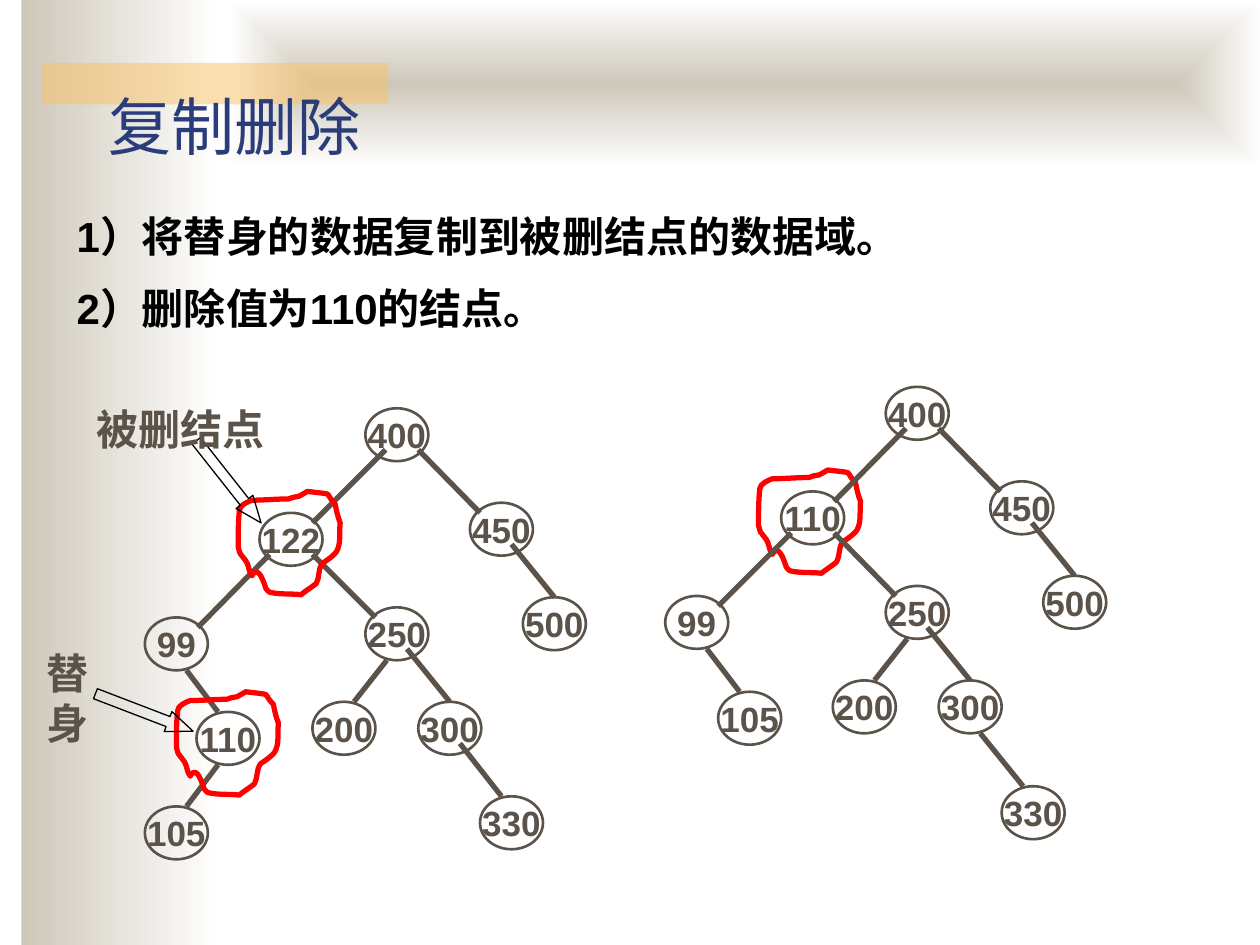
from lxml.etree import SubElement
from pptx import Presentation
from pptx.dml.color import RGBColor
from pptx.enum.shapes import MSO_CONNECTOR, MSO_SHAPE
from pptx.enum.text import MSO_ANCHOR, PP_ALIGN
from pptx.oxml.ns import qn
from pptx.util import Inches, Pt

BEIGE = RGBColor(0xCE, 0xC8, 0xBA)
WHITE = RGBColor(0xFF, 0xFF, 0xFF)
ORANGE = RGBColor(0xFA, 0xC1, 0x64)
BLUE = RGBColor(0x2A, 0x3D, 0x7A)
BROWN = RGBColor(0x5B, 0x52, 0x49)
RED = RGBColor(0xFF, 0x00, 0x00)
BLACK = RGBColor(0x00, 0x00, 0x00)
CHINESE_FONT = "Noto Sans CJK SC"
NODE_WIDTH, NODE_HEIGHT = 0.5, 0.42

SHARED_NODES = {
    "400": (1.75, 0), "450": (2.58, 0.75), "500": (3, 1.5),
    "250": (1.75, 1.58), "200": (1.33, 2.33), "300": (2.17, 2.33),
    "99": (0, 1.66),
}
BEFORE_NODES = SHARED_NODES | {
    "122": (0.91, 0.83), "110": (0.41, 2.41), "105": (0, 3.16), "330": (2.66, 3.08),
}
AFTER_NODES = SHARED_NODES | {
    "110": (0.92, 0.83), "105": (0.42, 2.42), "330": (2.67, 3.17),
}

LOWER_LEFT, LOWER_RIGHT = (0.16, 0.33), (0.42, 0.33)
INNER_RIGHT = (0.33, 0.33)
BOTTOM_LEFT, BOTTOM_RIGHT = (0.17, 0.42), (0.33, 0.42)
UPPER_LEFT, UPPER_RIGHT = (0.08, 0.08), (0.42, 0.08)
TOP_LEFT, TOP, TOP_RIGHT = (0.17, 0), (0.25, 0), (0.33, 0)


def tree_edges(replaced):
    """Return the edges both trees share, given the value of the replaced node."""
    return [
        ("400", replaced, LOWER_LEFT, UPPER_RIGHT),
        ("400", "450", LOWER_RIGHT, UPPER_LEFT),
        ("450", "500", INNER_RIGHT, TOP),
        (replaced, "99", (0.08, 0.33), UPPER_RIGHT),
        (replaced, "250", LOWER_RIGHT, UPPER_LEFT),
        ("250", "200", BOTTOM_LEFT, TOP_RIGHT),
        ("250", "300", INNER_RIGHT, TOP),
    ]


BEFORE_EDGES = tree_edges("122") + [
    ("300", "330", INNER_RIGHT, TOP_LEFT),
    ("99", "110", BOTTOM_RIGHT, TOP_LEFT),
    ("110", "105", BOTTOM_LEFT, TOP_RIGHT),
]
AFTER_EDGES = tree_edges("110") + [
    ("300", "330", BOTTOM_RIGHT, TOP_LEFT),
    ("99", "105", BOTTOM_RIGHT, TOP_LEFT),
]

RING_CURVES = [
    ((0.10, 0.65), (0.09, 0.64), (0.09, 0.63)),
    ((0.08, 0.60), (0.08, 0.58), (0.06, 0.55)),
    ((0.00, 0.47), (0.02, 0.51), (0.00, 0.44)),
    ((0.00, 0.34), (0.00, 0.24), (0.01, 0.15)),
    ((0.01, 0.11), (0.08, 0.08), (0.11, 0.07)),
    ((0.21, 0.07), (0.30, 0.06), (0.40, 0.06)),
    ((0.43, 0.05), (0.45, 0.04), (0.48, 0.04)),
    ((0.50, 0.03), (0.55, 0.00), (0.55, 0.00)),
    ((0.79, 0.03), (0.67, 0.00), (0.77, 0.10)),
    ((0.78, 0.15), (0.79, 0.20), (0.81, 0.25)),
    ((0.80, 0.33), (0.82, 0.41), (0.78, 0.48)),
    ((0.75, 0.52), (0.67, 0.57), (0.67, 0.57)),
    ((0.63, 0.62), (0.65, 0.68), (0.62, 0.73)),
    ((0.60, 0.75), (0.52, 0.80), (0.50, 0.82)),
    ((0.42, 0.81), (0.33, 0.82), (0.25, 0.80)),
    ((0.24, 0.80), (0.23, 0.78), (0.22, 0.77)),
    ((0.21, 0.74), (0.16, 0.57), (0.11, 0.67)),
]


def style_paragraph(para, size, color, name="Arial", bold=True):
    """Set the Latin and Chinese fonts of a paragraph."""
    font = para.font
    font.size, font.bold, font.name = Pt(size), bold, name
    font.color.rgb = color
    SubElement(font._element, qn("a:ea"), typeface=CHINESE_FONT)


def add_outline(page, kind, left, top, width, height, color, weight):
    """Add an unfilled preset shape."""
    shape = page.shapes.add_shape(kind, Inches(left), Inches(top), Inches(width), Inches(height))
    shape.shadow.inherit = False
    shape.fill.background()
    shape.line.color.rgb = color
    shape.line.width = Pt(weight)
    return shape


def add_panel(page, left, top, width, height):
    """Add a borderless rectangle."""
    panel = add_outline(page, MSO_SHAPE.RECTANGLE, left, top, width, height, BEIGE, 1)
    panel.line.fill.background()
    return panel


def add_backdrop(page):
    """Add the two gradient panels and the translucent bar."""
    side = add_panel(page, 0.17, 0, 1.58, 7.5)
    banner = add_panel(page, 1.83, 0, 8.17, 1.33)
    for panel in (side, banner):
        panel.fill.gradient()
        panel.fill.gradient_angle = 0
        for stop, color in zip(panel.fill.gradient_stops, (BEIGE, WHITE)):
            stop.color.rgb = color
    gradient = banner._element.spPr.find(qn("a:gradFill"))
    gradient.remove(gradient.find(qn("a:lin")))
    shade = SubElement(gradient, qn("a:path"), path="shape")
    SubElement(shade, qn("a:fillToRect"), l="50000", t="50000", r="50000", b="50000")

    bar = add_panel(page, 0.33, 0.5, 2.75, 0.33)
    bar.fill.solid()
    bar.fill.fore_color.rgb = ORANGE
    color = bar._element.spPr.find(qn("a:solidFill"))[0]
    SubElement(color, qn("a:alpha"), val="50000")


def add_title(page, left, top, width, height):
    """Place the title in front of the backdrop."""
    title = page.shapes.title
    page.shapes._spTree.append(title._element)
    title.left, title.top = Inches(left), Inches(top)
    title.width, title.height = Inches(width), Inches(height)
    title.text_frame.text = "复制删除"
    title.text_frame.vertical_anchor = MSO_ANCHOR.MIDDLE
    para = title.text_frame.paragraphs[0]
    para.alignment = PP_ALIGN.LEFT
    style_paragraph(para, 36, BLUE, CHINESE_FONT, False)


def add_text(page, left, top, width, height, lines, color=BROWN):
    """Add a wrapped text box with one paragraph per line."""
    box = page.shapes.add_textbox(Inches(left), Inches(top), Inches(width), Inches(height))
    box.text_frame.word_wrap = True
    box.text_frame.text = "\n".join(lines)
    for para in box.text_frame.paragraphs:
        style_paragraph(para, 24, color)
    for para in box.text_frame.paragraphs[1:]:
        para.space_before = Pt(12.5)


def add_tree(page, left, top, nodes, edges):
    """Draw a binary tree with its corner at the given point."""
    for value, (x, y) in nodes.items():
        node = add_outline(page, MSO_SHAPE.OVAL, left + x, top + y,
                           NODE_WIDTH, NODE_HEIGHT, BROWN, 1.5)
        node.text_frame.word_wrap = False
        node.text_frame.vertical_anchor = MSO_ANCHOR.MIDDLE
        node.text_frame.text = value
        para = node.text_frame.paragraphs[0]
        para.alignment = PP_ALIGN.CENTER
        style_paragraph(para, 20, BROWN)
    for parent, child, start, end in edges:
        points = [Inches(corner + place + offset)
                  for value, joint in ((parent, start), (child, end))
                  for corner, place, offset in zip((left, top), nodes[value], joint)]
        edge = page.shapes.add_connector(MSO_CONNECTOR.STRAIGHT, *points)
        edge.line.color.rgb = BROWN
        edge.line.width = Pt(3)
        SubElement(edge._element.spPr, qn("a:effectLst"))


def add_ring(page, left, top):
    """Draw the curved red ring around a node."""
    points = [(Inches(left + x), Inches(top + y)) for *_, (x, y) in RING_CURVES]
    builder = page.shapes.build_freeform(*points[-1])
    builder.add_line_segments(points, close=True)
    ring = builder.convert_to_shape()
    segments = list(ring._element.iter(qn("a:lnTo")))
    for segment, curve in zip(segments, RING_CURVES):
        segment.clear()
        segment.tag = qn("a:cubicBezTo")
        for x, y in curve:
            SubElement(segment, qn("a:pt"), x=str(Inches(x)), y=str(Inches(y)))
    ring.shadow.inherit = False
    ring.fill.background()
    ring.line.color.rgb = RED
    ring.line.width = Pt(3)


def add_callout(page, ring, pointer, rotation, label, text):
    """Group a ring with the arrow and label that point to it."""
    group = page.shapes.add_group_shape()
    add_ring(group, *ring)
    arrow = add_outline(group, MSO_SHAPE.RIGHT_ARROW, *pointer, 0.83, 0.17, BLACK, 0.75)
    arrow.adjustments[0], arrow.adjustments[1] = 0.5, 1.25
    arrow.rotation = rotation
    add_text(group, *label, [text])


def main():
    """Build and save the slide."""
    deck = Presentation()
    deck.slide_width, deck.slide_height = Inches(10), Inches(7.5)
    page = deck.slides.add_slide(deck.slide_layouts[5])
    add_backdrop(page)
    add_title(page, 0.76, 0.68, 5.02, 0.63)
    add_tree(page, 1.15, 3.24, BEFORE_NODES, BEFORE_EDGES)
    add_callout(page, (1.89, 3.9), (1.4, 3.74), 51.7, (0.67, 3.15, 1.73, 0.5), "被删结点")
    add_callout(page, (1.4, 5.49), (0.73, 5.57), 21, (0.27, 5.09, 0.75, 0.9), "替身")
    result = page.shapes.add_group_shape()
    add_ring(result, 6.02, 3.73)
    add_tree(result, 5.28, 3.07, AFTER_NODES, AFTER_EDGES)
    add_text(page, 0.51, 1.62, 9.08, 1.11,
             ["1）将替身的数据复制到被删结点的数据域。", "2）删除值为110的结点。"], BLACK)
    deck.save("out.pptx")


if __name__ == "__main__":
    main()
